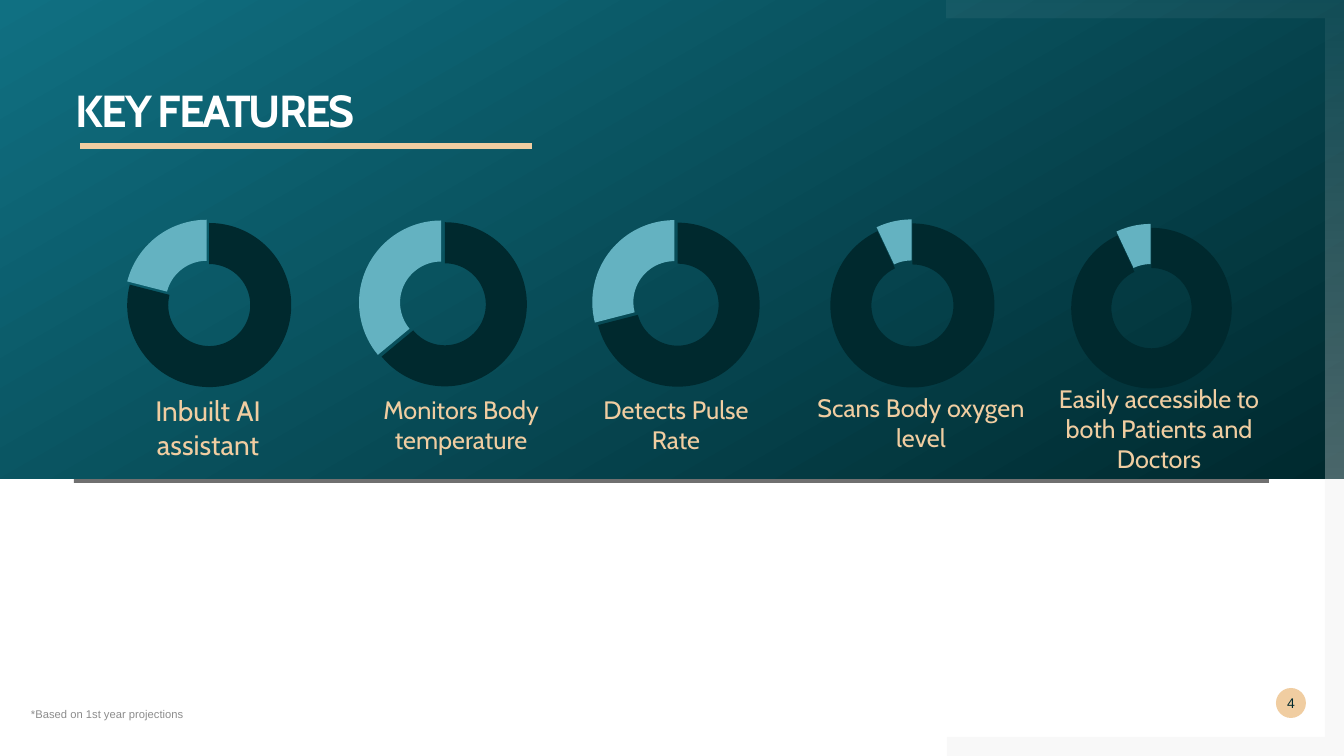
from lxml import etree
from pptx import Presentation
from pptx import util as u
from pptx.chart import data as chart_data
from pptx.dml.color import RGBColor
from pptx.enum import chart as charts, shapes, text
from pptx.oxml import parse_xml
from pptx.oxml.ns import nsdecls, qn

WHITE = RGBColor(0xFF, 0xFF, 0xFF)
BLACK = RGBColor(0x00, 0x00, 0x00)
GREY = RGBColor(0x80, 0x80, 0x80)
NOTE_GREY = RGBColor(0x8C, 0x8C, 0x8C)
DARK_TEAL = RGBColor(0x00, 0x29, 0x2E)
TEAL = RGBColor(0x10, 0x70, 0x82)
LIGHT_TEAL = RGBColor(0x64, 0xB2, 0xC1)
SAND = RGBColor(0xF0, 0xCD, 0xA1)

PAGE_W, PAGE_H, BAND_H, FRAME = 1344, 756, 479, 19
FRAME_LEFT = 947

# label, highlighted percent, chart left, label box, label size
FEATURES = [
    ("Inbuilt AI assistant", 21, 110, (95, 389, 226, 44), 20),
    ("Monitors Body temperature", 36, 345, (348, 389, 226, 72), 18),
    ("Detects Pulse Rate", 29, 578, (568, 389, 216, 40), 18),
    ("Scans Body oxygen level", 7, 814, (805, 387, 232, 72), 18),
    ("Easily accessible to both Patients and Doctors", 7, 1049, (1046, 378, 226, 102), 18),
]
LAST_PLOT = {"x": 0.1, "y": 0.167, "w": 0.842, "h": 0.689}


def px(length):
    return u.Emu(round(length * 914400 / 100.8))


def scaled(box):
    return [px(length) for length in box]


def set_values(target, values):
    for name, value in values.items():
        setattr(target, name, value)


def set_alpha(parent, percents):
    """Give the colours found under parent their opacities, in order."""
    for colour, percent in zip(parent.iter(qn("a:srgbClr")), percents):
        etree.SubElement(colour, qn("a:alpha"), val=str(percent * 1000))


def paint(shape, colour, opacity=None):
    shape.shadow.inherit = False
    shape.line.fill.background()
    shape.fill.solid()
    shape.fill.fore_color.rgb = colour
    if opacity is not None:
        set_alpha(shape._element.spPr, [opacity])


def paint_gradient(shape, colours, angle):
    shape.shadow.inherit = False
    shape.line.fill.background()
    shape.fill.gradient()
    shape.fill.gradient_angle = angle
    for stop, colour in zip(shape.fill.gradient_stops, colours):
        stop.color.rgb = colour


def write(shape, words, frame_values, para_values, font_values, colour):
    frame = shape.text_frame
    set_values(frame, frame_values)
    para = frame.paragraphs[0]
    set_values(para, para_values)
    span = para.add_run()
    span.text = words
    set_values(span.font, font_values)
    span.font.color.rgb = colour
    return span


def no_margins():
    return dict.fromkeys(("margin_left", "margin_top", "margin_right", "margin_bottom"), 0)


def add_outline(page, points):
    builder = page.shapes.build_freeform(*scaled(points[0]), scale=1.0)
    builder.add_line_segments([scaled(point) for point in points[1:]], close=True)
    return builder.convert_to_shape()


def add_corner(page, outer_y, inner_y, end_y):
    """Draw one L-shaped frame piece along the right edge of the page."""
    inner_x = PAGE_W - FRAME
    return add_outline(page, [
        (FRAME_LEFT, outer_y), (PAGE_W, outer_y), (PAGE_W, end_y),
        (inner_x, end_y), (inner_x, inner_y), (FRAME_LEFT, inner_y)])


def add_backdrop(page):
    rule = page.shapes.add_shape(shapes.MSO_SHAPE.RECTANGLE, *scaled((74, 478, 1195, 5)))
    paint(rule, BLACK, 56)
    band = page.shapes.add_shape(shapes.MSO_SHAPE.RECTANGLE, *scaled((0, 0, PAGE_W, BAND_H)))
    paint_gradient(band, [DARK_TEAL, TEAL], 120)
    upper = add_corner(page, 0, FRAME, BAND_H)
    paint_gradient(upper, [WHITE, WHITE], 270)
    set_alpha(upper._element.spPr, [5, 30])
    lower = add_corner(page, PAGE_H, PAGE_H - FRAME, BAND_H)
    paint(lower, GREY, 5)


def add_heading(page, box):
    left, top, width, height = box
    title = page.shapes.title
    page.shapes._spTree.append(title._element)  # in front of the backdrop
    set_values(title, dict(zip(("left", "top", "width", "height"), scaled(box))))
    span = write(
        title, "KEY FEATURES",
        {**no_margins(), "word_wrap": True, "auto_size": text.MSO_AUTO_SIZE.NONE,
         "vertical_anchor": text.MSO_ANCHOR.TOP},
        {"alignment": text.PP_ALIGN.LEFT, "line_spacing": 0.9},
        {"name": "Cabin", "size": u.Pt(32), "bold": True}, WHITE)
    span.font._element.set("spc", "-150")
    line_y = top + 57
    underline = page.shapes.add_connector(
        shapes.MSO_CONNECTOR.STRAIGHT, *scaled((left + 4, line_y, left + 456, line_y)))
    underline.line.color.rgb = SAND
    underline.line.width = u.Pt(4.32)
    etree.SubElement(underline._element.spPr, qn("a:effectLst"))


def add_footer(page, note_box, badge_box):
    note = page.shapes.add_textbox(*scaled(note_box))
    write(note, "*Based on 1st year projections",
          {**no_margins(), "word_wrap": True, "vertical_anchor": text.MSO_ANCHOR.BOTTOM},
          {}, {"name": "Arial", "size": u.Pt(8)}, NOTE_GREY)
    badge = page.shapes.add_shape(shapes.MSO_SHAPE.OVAL, *scaled(badge_box))
    paint(badge, SAND)
    write(badge, "4", {**no_margins(), "vertical_anchor": text.MSO_ANCHOR.MIDDLE},
          {"alignment": text.PP_ALIGN.CENTER}, {"name": "Arial", "size": u.Pt(10)}, DARK_TEAL)


def set_plot_area(chart, area):
    modes = "".join(f'<c:{edge}Mode val="edge"/>' for edge in "xy")
    sizes = "".join(f'<c:{name} val="{value}"/>' for name, value in area.items())
    plot_area = chart._chartSpace.chart.plotArea
    for layout in plot_area.findall(qn("c:layout")):
        plot_area.remove(layout)
    plot_area.insert(0, parse_xml(
        f'<c:layout {nsdecls("c")}><c:manualLayout><c:layoutTarget val="inner"/>'
        f"{modes}{sizes}</c:manualLayout></c:layout>"))


def add_ring(page, percent, box):
    values = chart_data.CategoryChartData()
    values.categories = ["1", "2"]
    values.add_series("Series 1", (100 - percent, percent))
    chart = page.shapes.add_chart(charts.XL_CHART_TYPE.DOUGHNUT, *scaled(box), values).chart
    set_values(chart, {"has_legend": False, "has_title": False})
    set_values(chart.font, {"name": "Arial", "size": u.Pt(10)})
    chart.font.color.rgb = BLACK
    plot = chart.plots[0]
    plot.vary_by_categories = True
    plot._element.find(qn("c:holeSize")).set("val", "60")
    series = plot.series[0]
    for index, colour in enumerate((DARK_TEAL, LIGHT_TEAL)):
        style = series.points[index].format
        style.fill.solid()
        style.fill.fore_color.rgb = colour
        style.line.fill.background()
    explosion = parse_xml(f'<c:explosion {nsdecls("c")} val="5"/>')
    series._element.find(qn("c:dPt")).addprevious(explosion)
    return chart


def add_features(page, top, width, height):
    rings = [add_ring(page, percent, (left, top, width, height))
             for _, percent, left, _, _ in FEATURES]
    set_plot_area(rings[-1], LAST_PLOT)
    for label, _, _, box, size in FEATURES:
        write(page.shapes.add_textbox(*scaled(box)), label,
              {"word_wrap": True, "auto_size": text.MSO_AUTO_SIZE.SHAPE_TO_FIT_TEXT},
              {"alignment": text.PP_ALIGN.CENTER},
              {"name": "Cabin", "size": u.Pt(size)}, SAND)


def main():
    deck = Presentation()
    set_values(deck, {"slide_width": px(PAGE_W), "slide_height": px(PAGE_H)})
    page = deck.slides.add_slide(deck.slide_layouts[5])
    add_backdrop(page)
    add_heading(page, (76, 89, 834, 40))
    add_footer(page, (31, 682, 834, 39), (1276, 688, 30, 30))
    add_features(page, 184, 196, 239)
    deck.save("out.pptx")


if __name__ == "__main__":
    main()
